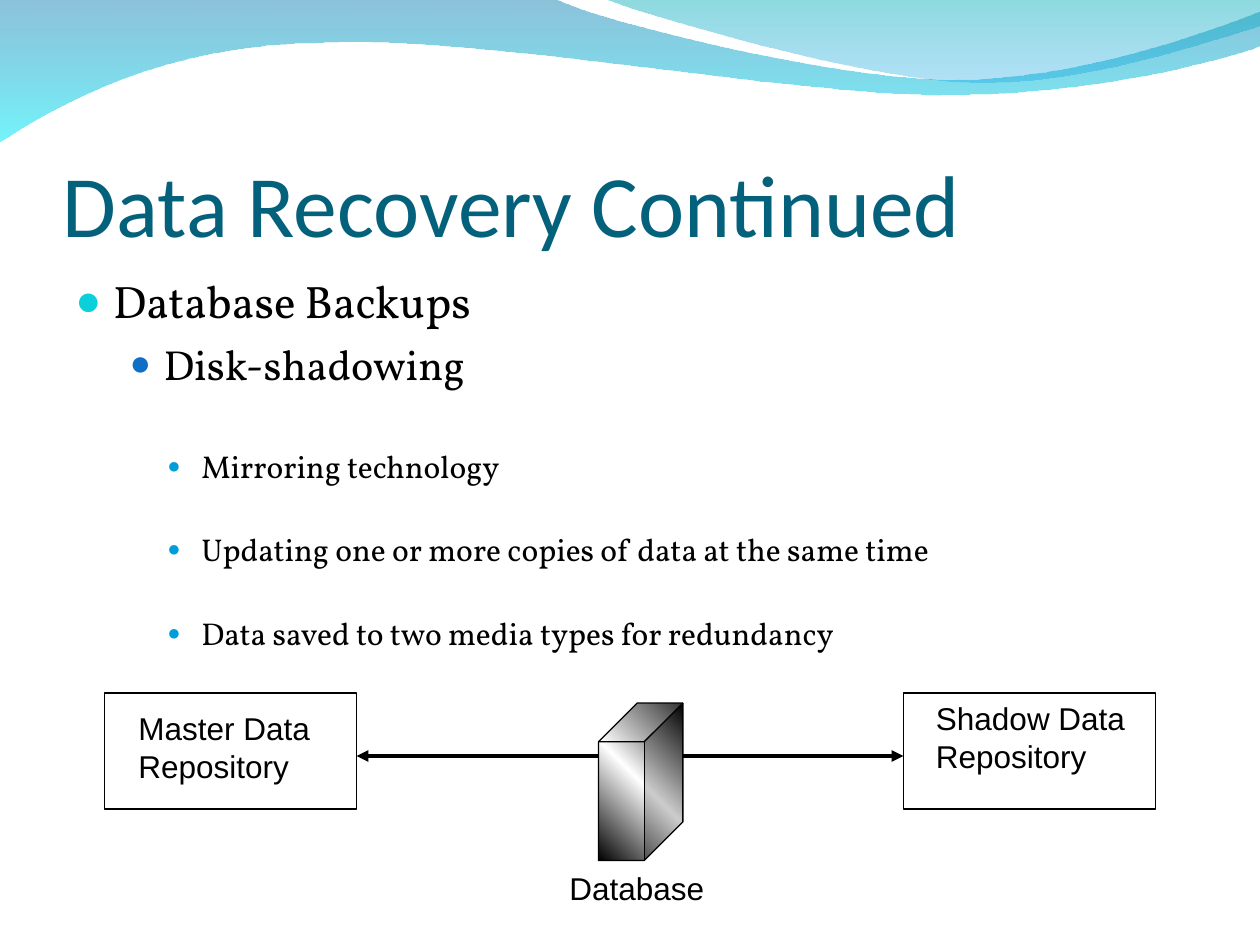
from lxml import etree
from pptx import Presentation
from pptx.dml.color import RGBColor
from pptx.enum.shapes import MSO_CONNECTOR as Connector, MSO_SHAPE as Shape
from pptx.enum.text import MSO_ANCHOR as Anchor
from pptx.oxml.ns import qn
from pptx.util import Inches, Pt

BLACK = "000000"
# Each wave is a start point followed by lines (1 point) and curves (3 points).
WAVES = [
    ((0, -0.01),
     [[(4.4, -0.01)],
      [(4.76, 0.17), (6.64, 0.63), (7.58, 0.63)],
      [(8.53, 0.63), (9.58, 0.26), (10, 0.09)],
      [(10.01, 0.36)],
      [(9.83, 0.44), (8.7, 0.76), (7.46, 0.75)],
      [(6.22, 0.75), (3.82, 0.28), (2.57, 0.34)],
      [(1.29, 0.35), (0.46, 0.83), (-0.01, 1.13)]],
     [(0, "0079AF", 45), (100, "00EBF8", 55)]),
    ((4.79, -0.01),
     [[(5.09, 0.11), (6.82, 0.62), (7.69, 0.65)],
      [(8.56, 0.69), (9.61, 0.32), (10, 0.21)],
      [(10, 0)]],
     [(0, "00ADB6", 45), (100, "009BE5", 30)]),
]
# Text, size, left margin, hanging indent, space before, bullet colour, bullet size
BULLETS = [
    ("Database Backups", 26, 0.3, 0.3, 0, "0BD0D9", 95),
    ("Disk-shadowing", 24, 0.7, 0.27, 6, "0F6FC6", 85),
    ("Mirroring technology", 18, 1, 0.27, 33.3, "009DD9", 70),
    ("Updating one or more copies of data at the same time",
     18, 1, 0.27, 26.1, "009DD9", 70),
    ("Data saved to two media types for redundancy",
     18, 1, 0.27, 26.1, "009DD9", 70),
]


def color(value):
    return RGBColor.from_string(value)


def bend_lines(shape, segments):
    """Join the three line steps of each curved segment into one Bezier curve."""
    steps = iter(list(shape._element.iter(qn("a:lnTo"))))
    for segment in segments:
        lines = [next(steps) for _ in segment]
        if len(lines) == 3:
            curve = etree.Element(qn("a:cubicBezTo"))
            lines[0].addprevious(curve)
            for line in lines:
                curve.append(line[0])
                line.getparent().remove(line)


def set_gradient(shape, stops, angle):
    """Fill with (position, colour, opacity) stops; the angle runs clockwise."""
    shape.fill.gradient()
    gradient = shape._element.spPr.find(qn("a:gradFill"))
    stop_list = gradient.find(qn("a:gsLst"))
    for old_stop in list(stop_list):
        stop_list.remove(old_stop)
    for position, value, opacity in stops:
        stop = etree.SubElement(stop_list, qn("a:gs"), pos=str(position * 1000))
        rgb = etree.SubElement(stop, qn("a:srgbClr"), val=value)
        if opacity < 100:
            etree.SubElement(rgb, qn("a:alpha"), val=str(opacity * 1000))
    gradient.find(qn("a:lin")).set("ang", str(angle * 60000))


class SlideBuilder:
    label_font = "Arial"
    body_font = "Vollkorn"
    title_font = "Calibri"

    def __init__(self, slide):
        self.slide = slide

    def wave(self, start, segments, stops):
        corners = [(Inches(x), Inches(y)) for segment in segments for x, y in segment]
        builder = self.slide.shapes.build_freeform(Inches(start[0]), Inches(start[1]))
        builder.add_line_segments(corners, close=True)
        shape = builder.convert_to_shape()
        bend_lines(shape, segments)
        shape.shadow.inherit = False
        shape.line.fill.background()
        set_gradient(shape, stops, 90)

    def text_frame(self, left, top, width, height):
        box = self.slide.shapes.add_textbox(
            Inches(left), Inches(top), Inches(width), Inches(height))
        box.text_frame.word_wrap = True
        return box.text_frame

    def add_run(self, paragraph, text, size, font, value=BLACK):
        run = paragraph.add_run()
        run.text = text
        run.font.size = Pt(size)
        run.font.name = font
        run.font.color.rgb = color(value)

    def title(self, text):
        frame = self.text_frame(0.5, 0.77, 9, 1.25)
        frame.vertical_anchor = Anchor.BOTTOM
        frame.margin_left = frame.margin_right = frame.margin_bottom = 0
        self.add_run(frame.paragraphs[0], text, 50, self.title_font, "04617B")

    def bullets(self, items):
        frame = self.text_frame(0.5, 2.12, 9, 4.8)
        for index, (text, size, margin, hanging, before, value, percent) in enumerate(items):
            paragraph = frame.add_paragraph() if index else frame.paragraphs[0]
            paragraph.level = min(index, 2)
            paragraph.space_before = Pt(before)
            properties = paragraph._p.get_or_add_pPr()
            properties.set("marL", str(Inches(margin)))
            properties.set("indent", str(-Inches(hanging)))
            bullet_color = etree.SubElement(properties, qn("a:buClr"))
            etree.SubElement(bullet_color, qn("a:srgbClr"), val=value)
            etree.SubElement(properties, qn("a:buSzPct"), val=str(percent * 1000))
            etree.SubElement(properties, qn("a:buFont"), typeface=self.label_font)
            etree.SubElement(properties, qn("a:buChar"), char="●")
            self.add_run(paragraph, text, size, self.body_font)

    def label(self, text, left, top, width, height):
        frame = self.text_frame(left, top, width, height)
        self.add_run(frame.paragraphs[0], text, 18, self.label_font)

    def shape(self, kind, left, top, width, height):
        shape = self.slide.shapes.add_shape(
            kind, Inches(left), Inches(top), Inches(width), Inches(height))
        shape.shadow.inherit = False
        shape.fill.background()
        shape.line.color.rgb = color(BLACK)
        shape.line.width = Pt(0.75)
        return shape

    def cube(self, left, top, width, height):
        cube = self.shape(Shape.CUBE, left, top, width, height)
        cube.adjustments[0] = 0.458
        set_gradient(cube, [(0, BLACK, 100), (50, "FFFFFF", 100), (100, BLACK, 100)], 315)

    def level_arrow(self, start_x, end_x, y):
        arrow = self.slide.shapes.add_connector(
            Connector.STRAIGHT, Inches(start_x), Inches(y), Inches(end_x), Inches(y))
        arrow.line.color.rgb = color(BLACK)
        arrow.line.width = Pt(2.25)
        etree.SubElement(arrow.line._get_or_add_ln(), qn("a:tailEnd"), type="triangle")
        etree.SubElement(arrow._element.spPr, qn("a:effectLst"))


def main():
    presentation = Presentation()
    presentation.slide_width = Inches(10)
    presentation.slide_height = Inches(7.5)
    builder = SlideBuilder(presentation.slides.add_slide(presentation.slide_layouts[6]))

    for wave in WAVES:
        builder.wave(*wave)
    builder.title("Data Recovery Continued")
    builder.bullets(BULLETS)

    builder.level_arrow(4.83, 2.83, 6)
    builder.level_arrow(5.33, 7.17, 6)
    builder.cube(4.75, 5.58, 0.67, 1.25)
    builder.label("Database", 4.42, 6.85, 1.42, 0.4)
    builder.shape(Shape.RECTANGLE, 0.83, 5.5, 2, 0.92)
    builder.label("Master Data Repository", 1, 5.58, 1.75, 0.7)
    builder.shape(Shape.RECTANGLE, 7.17, 5.5, 2, 0.92)
    builder.label("Shadow Data Repository", 7.33, 5.5, 1.92, 0.7)

    presentation.save("out.pptx")


if __name__ == "__main__":
    main()
